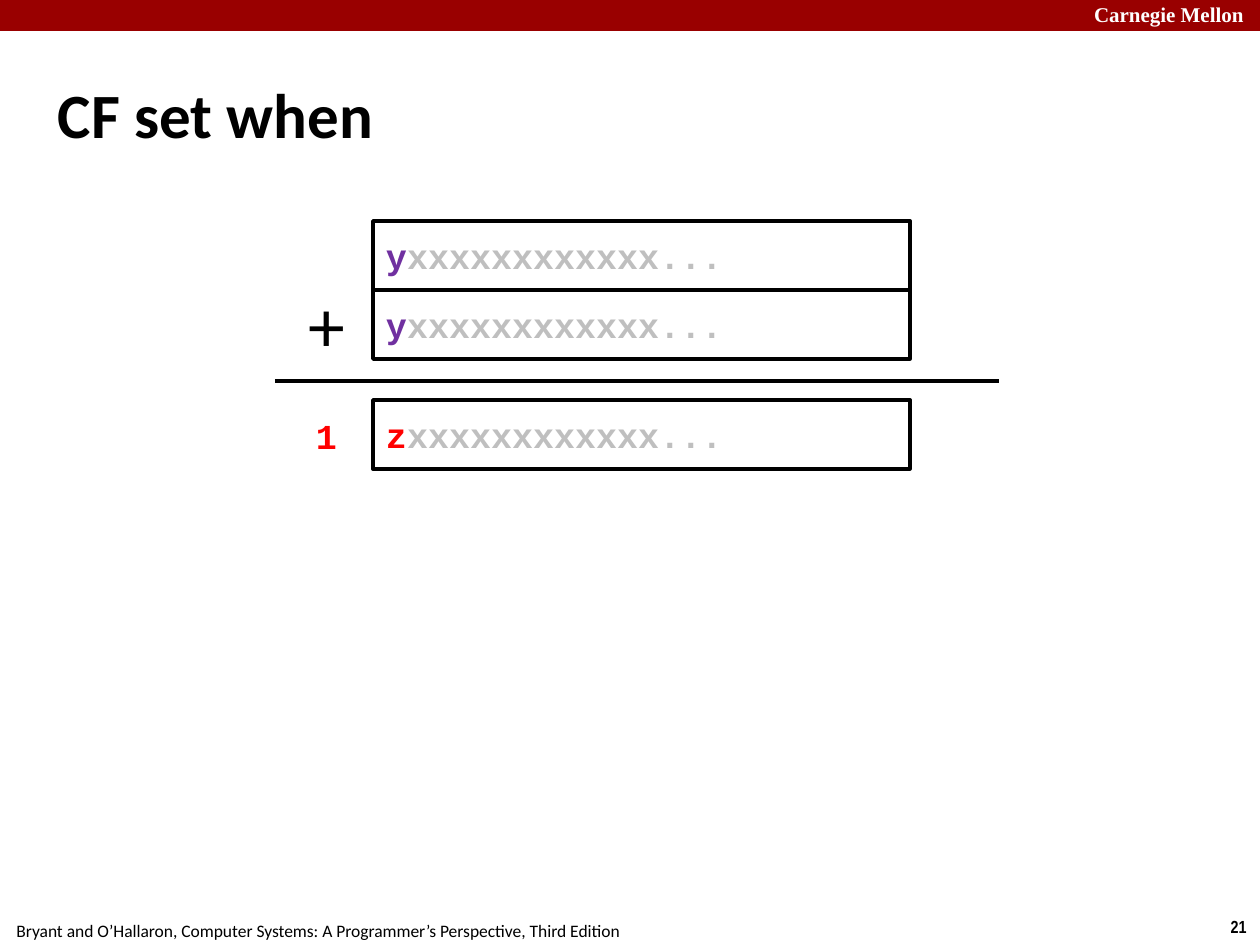
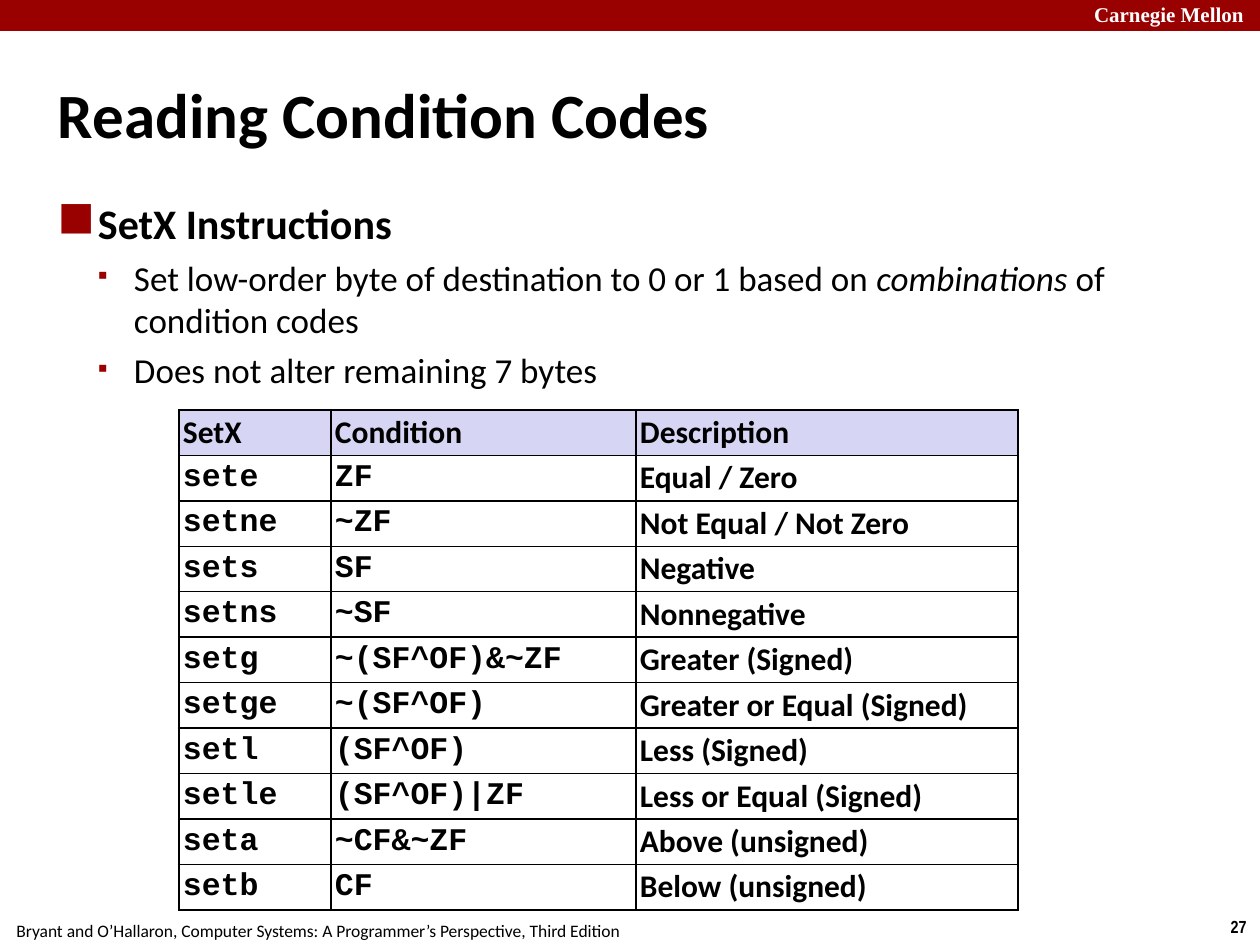
import pptx
import pptx.dml.color
import pptx.enum.shapes
import pptx.enum.text
import pptx.oxml
import pptx.oxml.ns
import pptx.util
from lxml import etree

RGBColor = pptx.dml.color.RGBColor
BLACK = RGBColor(0x00, 0x00, 0x00)
WHITE = RGBColor(0xFF, 0xFF, 0xFF)
CRIMSON = RGBColor(0x99, 0x00, 0x00)
PURPLE = RGBColor(0x70, 0x30, 0xA0)
RED = RGBColor(0xFF, 0x00, 0x00)
GRAY = RGBColor(0xBF, 0xBF, 0xBF)
LAVENDER = RGBColor(0xD6, 0xD6, 0xF4)

SANS = "Calibri"
CODE = "Courier New"
SERIF = "Times New Roman"
NARROW = "Arial Narrow"

EMU_PER_PX = 914400 / 126
WIDTH, HEIGHT = 1260, 945
TIGHT = (5, 5, 5, 5)
ROOMY = (13, 6, 13, 6)
LEFT = pptx.enum.text.PP_ALIGN.LEFT
CENTER = pptx.enum.text.PP_ALIGN.CENTER
TOP = pptx.enum.text.MSO_ANCHOR.TOP
MIDDLE = pptx.enum.text.MSO_ANCHOR.MIDDLE
RECTANGLE = pptx.enum.shapes.MSO_SHAPE.RECTANGLE

BANNER = "Carnegie Mellon"
FOOTER = "Bryant and O’Hallaron, Computer Systems: A Programmer’s Perspective, Third Edition"

CONDITIONS = [
    ("SetX", "Condition", "Description"),
    ("sete", "ZF", "Equal / Zero"),
    ("setne", "~ZF", "Not Equal / Not Zero"),
    ("sets", "SF", "Negative"),
    ("setns", "~SF", "Nonnegative"),
    ("setg", "~(SF^OF)&~ZF", "Greater (Signed)"),
    ("setge", "~(SF^OF)", "Greater or Equal (Signed)"),
    ("setl", "(SF^OF)", "Less (Signed)"),
    ("setle", "(SF^OF)|ZF", "Less or Equal (Signed)"),
    ("seta", "~CF&~ZF", "Above (unsigned)"),
    ("setb", "CF", "Below (unsigned)"),
]


def px(length):
    return pptx.util.Emu(round(length * EMU_PER_PX))


class Lecture:
    def __init__(self):
        self.deck = pptx.Presentation()
        self.deck.slide_width, self.deck.slide_height = px(WIDTH), px(HEIGHT)
        self.page = None

    def add_page(self, title, number):
        self.page = self.deck.slides.add_slide(self.deck.slide_layouts[5])
        heading = self.page.shapes.title
        heading.left, heading.top, heading.width, heading.height = map(px, (53, 34, 1155, 158))
        self.frame(heading, TIGHT, MIDDLE)
        para = heading.text_frame.paragraphs[0]
        para.alignment = LEFT
        self.span(para, title, 36, bold=True)
        self.rectangle(0, 0, WIDTH, 31, fill=CRIMSON)
        banner = self.text(1089, -3, 181, 35, insets=TIGHT)
        self.span(banner, BANNER, 12, SERIF, WHITE, True)
        footer = self.text(-2, 914, 640, 34, CENTER, wrap=False)
        self.span(footer, FOOTER, 10)
        folio = self.text(1217, 910, 43, 34, CENTER, wrap=False)
        self.span(folio, str(number), 10, NARROW, bold=True)

    def frame(self, shape, insets, anchor, wrap=True):
        frame = shape.text_frame
        frame.word_wrap = wrap
        frame.auto_size = pptx.enum.text.MSO_AUTO_SIZE.NONE
        frame.vertical_anchor = anchor
        frame.margin_left, frame.margin_top, frame.margin_right, frame.margin_bottom = map(px, insets)
        return frame

    def span(self, para, words, size, font=SANS, color=BLACK, bold=False, italic=False):
        span = para.add_run()
        span.text = words
        span.font.size = pptx.util.Pt(size)
        span.font.name = font
        span.font.color.rgb = color
        span.font.bold = bold
        span.font.italic = italic

    def text(self, left, top, width, height, align=LEFT, insets=ROOMY, wrap=True):
        box = self.page.shapes.add_textbox(*map(px, (left, top, width, height)))
        para = self.frame(box, insets, TOP, wrap).paragraphs[0]
        para.alignment = align
        return para

    def rectangle(self, left, top, width, height, fill=None, outline=None):
        box = self.page.shapes.add_shape(RECTANGLE, *map(px, (left, top, width, height)))
        box.shadow.inherit = False
        if fill is None:
            box.fill.background()
        else:
            box.fill.solid()
            box.fill.fore_color.rgb = fill
        if outline is None:
            box.line.fill.background()
        else:
            box.line.color.rgb = outline
            box.line.width = pptx.util.Pt(2)
        return box

    def register(self, top, lead, color):
        box = self.rectangle(373, top, 537, 69, outline=BLACK)
        para = self.frame(box, ROOMY, MIDDLE).paragraphs[0]
        para.alignment = LEFT
        self.span(para, lead, 20, CODE, color, True)
        self.span(para, "xxxxxxxxxxxx...", 20, CODE, GRAY, True)

    def rule(self, left, right, y):
        straight = pptx.enum.shapes.MSO_CONNECTOR.STRAIGHT
        line = self.page.shapes.add_connector(straight, *map(px, (left, y, right, y)))
        line.line.color.rgb = BLACK
        line.line.width = pptx.util.Pt(2)
        etree.SubElement(line._element.spPr, pptx.oxml.ns.qn("a:effectLst"))

    def bullet(self, para, symbol, percent, margin, hanging):
        properties = para._p.get_or_add_pPr()
        properties.set("marL", str(px(margin)))
        properties.set("indent", str(px(-hanging)))
        color = etree.SubElement(properties, pptx.oxml.ns.qn("a:buClr"))
        etree.SubElement(color, pptx.oxml.ns.qn("a:srgbClr"), val=str(CRIMSON))
        etree.SubElement(properties, pptx.oxml.ns.qn("a:buSzPct"), val=str(percent * 1000))
        etree.SubElement(properties, pptx.oxml.ns.qn("a:buFont"), typeface=NARROW)
        etree.SubElement(properties, pptx.oxml.ns.qn("a:buChar"), char=symbol)

    def outline(self, left, top, width, height, heading, points):
        box = self.page.shapes.add_textbox(*map(px, (left, top, width, height)))
        frame = self.frame(box, TIGHT, TOP)
        para = frame.paragraphs[0]
        self.bullet(para, "■", 145, 40, 40)
        self.span(para, heading, 24, bold=True)
        for point in points:
            para = frame.add_paragraph()
            self.bullet(para, "▪", 80, 76, 36)
            para.space_before = pptx.util.Pt(5)
            for words, italic in point:
                self.span(para, words, 20, italic=italic)

    def border(self, cell):
        properties = cell._tc.get_or_add_tcPr()
        for side in ("lnL", "lnR", "lnT", "lnB"):
            line = etree.SubElement(properties, pptx.oxml.ns.qn("a:" + side), w=str(pptx.util.Pt(1)))
            fill = etree.SubElement(line, pptx.oxml.ns.qn("a:solidFill"))
            etree.SubElement(fill, pptx.oxml.ns.qn("a:srgbClr"), val=str(BLACK))

    def table(self, left, top, widths, height, rows):
        size = (sum(widths), height)
        holder = self.page.shapes.add_table(len(rows), len(widths), *map(px, (left, top, *size)))
        table = holder.table
        table.first_row = table.horz_banding = False
        for column, width in zip(table.columns, widths):
            column.width = px(width)
        for row_index, row in enumerate(rows):
            table.rows[row_index].height = px(height / len(rows))
            for column_index, words in enumerate(row):
                cell = table.cell(row_index, column_index)
                self.border(cell)
                cell.vertical_anchor = MIDDLE
                cell.margin_left = cell.margin_right = px(4)
                cell.margin_top = cell.margin_bottom = px(3)
                if row_index == 0:
                    cell.fill.solid()
                    cell.fill.fore_color.rgb = LAVENDER
                else:
                    cell.fill.background()
                font = CODE if row_index and column_index < 2 else SANS
                self.span(cell.text_frame.paragraphs[0], words, 18, font, bold=True)


def carry_page(lecture):
    lecture.add_page("CF set when", 21)
    for top, lead, color in ((221, "y", PURPLE), (290, "y", PURPLE), (400, "z", RED)):
        lecture.register(top, lead, color)
    lecture.rule(275, 999, 381)
    plus = lecture.text(295, 273, 63, 102, CENTER)
    lecture.span(plus, "+", 42)
    carry = lecture.text(295, 408, 63, 55, CENTER)
    lecture.span(carry, "1", 20, CODE, RED, True)


def condition_page(lecture):
    lecture.add_page("Reading Condition Codes", 27)
    lecture.outline(53, 192, 1155, 748, "SetX Instructions", [
        [("Set low-order byte of destination to 0 or 1 based on ", False),
         ("combinations", True),
         (" of condition codes", False)],
        [("Does not alter remaining 7 bytes", False)],
    ])
    lecture.table(179, 410, (152, 305, 382), 500, CONDITIONS)


def main():
    lecture = Lecture()
    carry_page(lecture)
    condition_page(lecture)
    lecture.deck.save("out.pptx")


if __name__ == "__main__":
    main()
